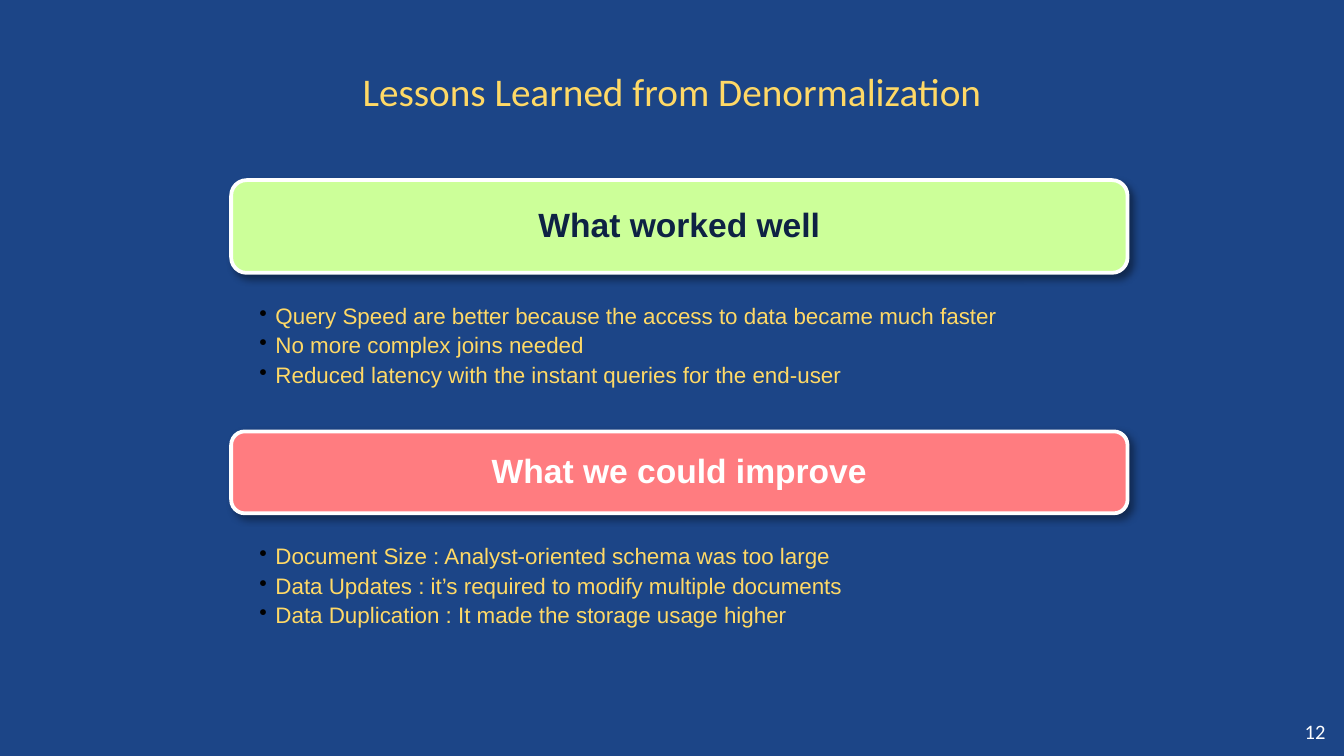
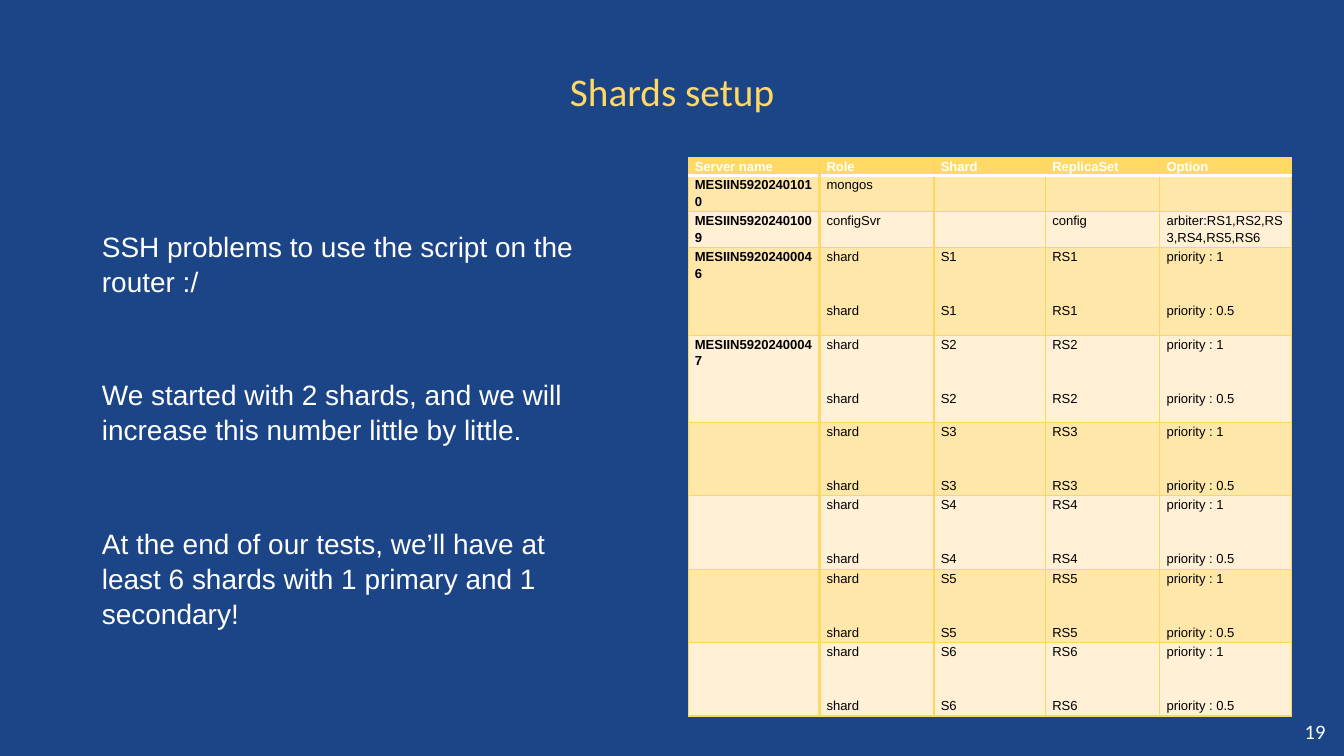
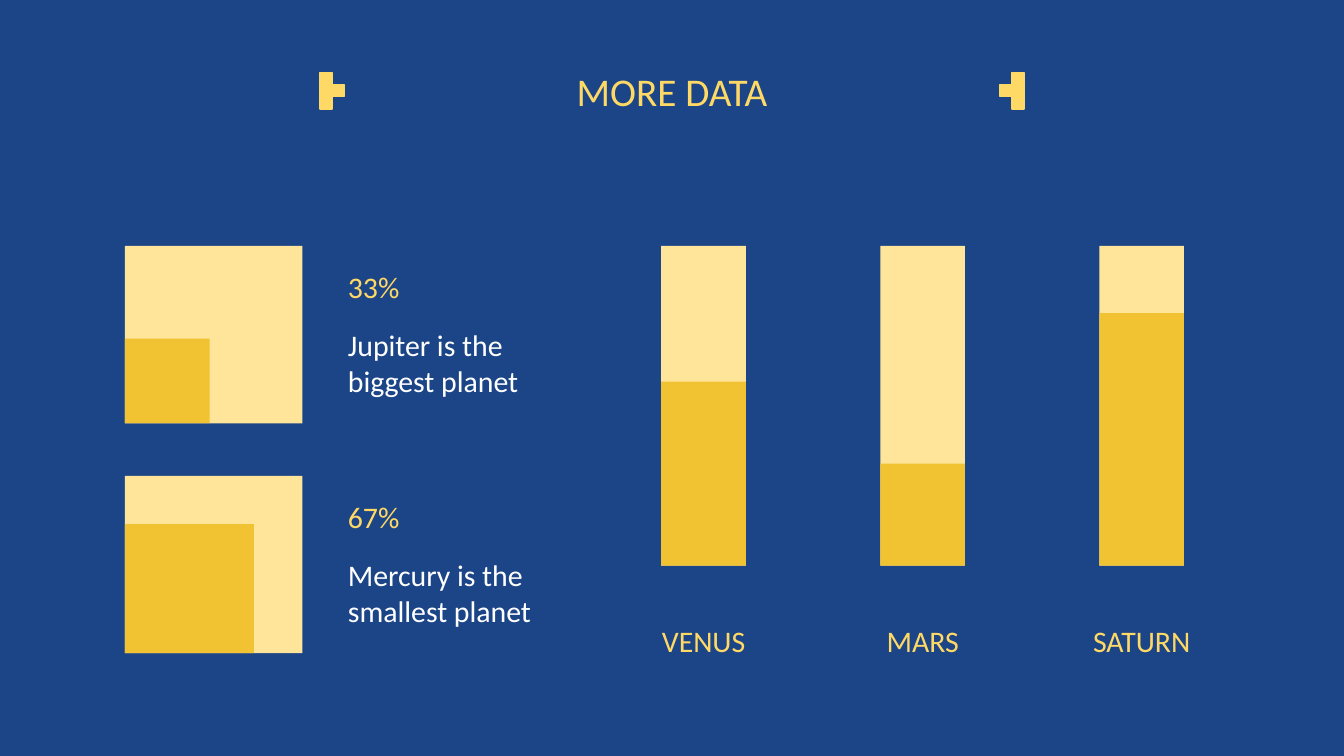
"""Build three slides on denormalization lessons, shard setup and planet data."""
import dataclasses
import typing

import lxml.etree
import pptx
import pptx.dml.color
import pptx.enum.shapes
import pptx.enum.text
import pptx.oxml.ns
import pptx.slide
import pptx.table
import pptx.text.text
import pptx.util

Inches = pptx.util.Inches
Pt = pptx.util.Pt
RGBColor = pptx.dml.color.RGBColor
Align = pptx.enum.text.PP_ALIGN
Anchor = pptx.enum.text.MSO_ANCHOR
Shape = pptx.enum.shapes.MSO_SHAPE
qn = pptx.oxml.ns.qn

BLUE = RGBColor(0x1C, 0x45, 0x87)
YELLOW = RGBColor(0xFF, 0xD9, 0x66)
WHITE = RGBColor(0xFF, 0xFF, 0xFF)
BLACK = RGBColor(0x00, 0x00, 0x00)
NAVY = RGBColor(0x0E, 0x22, 0x44)
GREEN = RGBColor(0xCC, 0xFF, 0x99)
CORAL = RGBColor(0xFF, 0x7C, 0x80)
GRID_YELLOW = RGBColor(0xFD, 0xD6, 0x60)
BAND_DARK = RGBColor(0xFF, 0xE7, 0xA9)
BAND_LIGHT = RGBColor(0xFF, 0xF0, 0xD6)
PALE_YELLOW = RGBColor(0xFF, 0xE5, 0x99)
GOLD = RGBColor(0xF1, 0xC2, 0x32)

HEADING = "Calibri"
BODY = "Arial"
EVEN_INSETS = (0.1, 0.1, 0.1, 0.1)


@dataclasses.dataclass(frozen=True)
class Style:
    """Look of the text in one box."""

    size: float
    font: str = HEADING
    color: RGBColor = WHITE
    bold: bool = False
    align: Align = Align.LEFT
    anchor: Anchor = Anchor.TOP
    insets: tuple[float, float, float, float] = EVEN_INSETS
    line_spacing: float = 1.0
    before: float = 0
    after: float = 0
    bullet: bool = False


@dataclasses.dataclass(frozen=True)
class Area:
    """Place of a shape in inches."""

    left: float
    top: float
    width: float
    height: float

    def lengths(self) -> list[pptx.util.Length]:
        """Return the four lengths that a shape call needs."""
        return [Inches(value) for value in dataclasses.astuple(self)]


@dataclasses.dataclass(frozen=True)
class Lesson:
    """A coloured heading band with its points below."""

    heading: str
    band: Area
    fill: RGBColor
    color: RGBColor
    points: tuple[str, ...]


@dataclasses.dataclass(frozen=True)
class Gauge:
    """A pale rectangle partly filled from its lower left corner."""

    area: Area
    filled_width: float
    filled_height: float


@dataclasses.dataclass(frozen=True)
class Fact:
    """A share of a square with its explanation."""

    share: str
    sentence: str
    top: float
    filled: float


TITLE = Style(21, color=YELLOW, align=Align.CENTER, anchor=Anchor.BOTTOM)
PAGE_NUMBER = Style(11, align=Align.CENTER, anchor=Anchor.MIDDLE)
POINTS = Style(12, BODY, YELLOW, insets=(0.21, 0.23, 0.09, 0.02),
               line_spacing=0.9, after=2.8, bullet=True)
NOTES = Style(15, BODY, insets=(0.1, 0.05, 0.1, 0.05), line_spacing=1.04, before=42)
CELL = Style(7, BODY, BLACK, align=Align.JUSTIFY, insets=(0.05, 0, 0.05, 0),
             line_spacing=1.15, before=10, after=10)
LABEL = Style(16, color=YELLOW)
SENTENCE = Style(16)

LESSONS = (
    Lesson("What worked well", Area(1.72, 1.34, 6.67, 0.69), GREEN, NAVY, (
        "Query Speed are better because the access to data became much faster",
        "No more complex joins needed",
        "Reduced latency with the instant queries for the end-user",
    )),
    Lesson("What we could improve", Area(1.72, 3.21, 6.67, 0.61), CORAL, WHITE, (
        "Document Size : Analyst-oriented schema was too large",
        "Data Updates : it’s required to modify multiple documents",
        "Data Duplication : It made the storage usage higher",
    )),
)
SETUP_NOTES = (
    "SSH problems to use the script on the router :/",
    "We started with 2 shards, and we will increase this number little by little.",
    "At the end of our tests, we’ll have at least 6 shards with 1 primary and 1 secondary!",
)
SHARD_SERVERS = ("MESIIN59202400046", "MESIIN59202400047", "", "", "", "")
SERVER_ROWS = [
    ("Server name", "Role", "Shard", "ReplicaSet", "Option"),
    ("MESIIN59202401010", "mongos", "", "", ""),
    ("MESIIN59202401009", "configSvr", "", "config", "arbiter:RS1,RS2,RS3,RS4,RS5,RS6"),
] + [
    (server, "shard\nshard", f"S{number}\nS{number}", f"RS{number}\nRS{number}",
     "priority : 1\npriority : 0.5")
    for number, server in enumerate(SHARD_SERVERS, 1)
]
COLUMN_WIDTHS = (0.98, 0.85, 0.83, 0.85, 0.98)
ROW_HEIGHTS = (0.13, 0.27, 0.27, 0.65, 0.65, 0.53, 0.53, 0.53, 0.53)
FACTS = (
    Fact("33%", "Jupiter is the biggest planet", 1.83, 0.63),
    Fact("67%", "Mercury is the smallest planet", 3.54, 0.96),
)
PLANET_LEVELS = {"VENUS": 1.37, "MARS": 0.76, "SATURN": 1.88}


def apply(target: typing.Any, values: dict[str, typing.Any]) -> None:
    """Set every named attribute of the target."""
    for name, value in values.items():
        setattr(target, name, value)


def add_xml(parent: typing.Any, tag: str, **attributes: str) -> typing.Any:
    """Append an XML element with its attributes."""
    return lxml.etree.SubElement(parent, qn(tag), attributes)


def add_bullet(para: typing.Any) -> None:
    """Give a paragraph a hanging black bullet."""
    properties = para._p.get_or_add_pPr()
    indent = Inches(0.12)
    properties.set("marL", str(indent))
    properties.set("indent", str(-indent))
    color = add_xml(properties, "a:buClr")
    add_xml(color, "a:srgbClr", val=str(BLACK))
    add_xml(properties, "a:buChar", char="•")


def write(frame: pptx.text.text.TextFrame, lines: typing.Sequence[str], style: Style) -> None:
    """Fill a text frame with one styled paragraph a line."""
    for index, line in enumerate(lines):
        para = frame.paragraphs[0] if index == 0 else frame.add_paragraph()
        if style.bullet:
            add_bullet(para)
        apply(para, {
            "alignment": style.align,
            "line_spacing": style.line_spacing,
            "space_before": Pt(style.before if index else 0),
            "space_after": Pt(style.after),
        })
        if not line:
            para._p.get_or_add_endParaRPr().set("sz", str(Pt(style.size).centipoints))
            continue
        span = para.add_run()
        span.text = line
        apply(span.font, {"size": Pt(style.size), "name": style.font, "bold": style.bold})
        span.font.color.rgb = style.color


def margins(style: Style) -> dict[str, pptx.util.Length]:
    """Return the inner margins of a style by attribute name."""
    names = ("margin_left", "margin_top", "margin_right", "margin_bottom")
    return {name: Inches(inset) for name, inset in zip(names, style.insets)}


def fill_frame(frame: pptx.text.text.TextFrame, lines: typing.Sequence[str],
               style: Style) -> None:
    """Set up the frame of a shape and write into it."""
    apply(frame, {"word_wrap": True, "vertical_anchor": style.anchor, **margins(style)})
    write(frame, lines, style)


def add_text(page: pptx.slide.Slide, area: Area, lines: typing.Sequence[str],
             style: Style) -> None:
    """Add a text box."""
    fill_frame(page.shapes.add_textbox(*area.lengths()).text_frame, lines, style)


def add_block(page: pptx.slide.Slide, area: Area, fill: RGBColor,
              line: RGBColor | None = None, line_width: float = 0.75,
              kind: Shape = Shape.RECTANGLE) -> typing.Any:
    """Add a filled shape, outlined only when a line colour is given."""
    box = page.shapes.add_shape(kind, *area.lengths())
    box.shadow.inherit = False
    box.fill.solid()
    box.fill.fore_color.rgb = fill
    if line is None:
        box.line.fill.background()
    else:
        box.line.color.rgb = line
        box.line.width = Pt(line_width)
    return box


def add_page(deck: typing.Any, title: str, number: str = "") -> pptx.slide.Slide:
    """Add a blue slide with its title and, if given, its number."""
    page = deck.slides.add_slide(deck.slide_layouts[6])
    page.background.fill.solid()
    page.background.fill.fore_color.rgb = BLUE
    add_text(page, Area(0.34, 0.32, 9.32, 0.63), [title], TITLE)
    if number:
        add_text(page, Area(9.57, 5.26, 0.43, 0.37), [number], PAGE_NUMBER)
    return page


def add_lesson(page: pptx.slide.Slide, lesson: Lesson) -> None:
    """Draw a heading band with a soft shadow and its points."""
    band = lesson.band
    box = add_block(page, band, lesson.fill, WHITE, 2, Shape.ROUNDED_RECTANGLE)
    effects = box._element.spPr.find(qn("a:effectLst"))
    shadow = add_xml(effects, "a:outerShdw", blurRad=str(Pt(4)), dist=str(Pt(3)),
                     dir="2700000", algn="tl", rotWithShape="0")
    color = add_xml(shadow, "a:srgbClr", val=str(BLACK))
    add_xml(color, "a:alpha", val="40000")
    heading = Style(18, BODY, lesson.color, True, Align.CENTER, Anchor.MIDDLE,
                    line_spacing=0.9)
    fill_frame(box.text_frame, [lesson.heading], heading)
    below = Area(band.left, band.top + band.height + 0.01, band.width, 1.18)
    add_text(page, below, lesson.points, POINTS)


def set_borders(cell: pptx.table._Cell, row: int, column: int) -> None:
    """Draw the four borders of a table cell."""
    borders = dict.fromkeys(("a:lnL", "a:lnR", "a:lnT", "a:lnB"), (GRID_YELLOW, 0.75))
    if row == 0:
        borders["a:lnB"] = (WHITE, 2)
    elif column == 0:
        borders["a:lnR"] = (YELLOW, 2)
    if row == 1 and column:
        borders["a:lnT"] = (WHITE, 2)
    if row and column == 1:
        borders["a:lnL"] = (YELLOW, 2)
    properties = cell._tc.get_or_add_tcPr()
    for position, (tag, (color, width)) in enumerate(borders.items()):
        line = add_xml(properties, tag, w=str(Pt(width)))
        add_xml(add_xml(line, "a:solidFill"), "a:srgbClr", val=str(color))
        properties.insert(position, line)


def add_server_table(page: pptx.slide.Slide) -> None:
    """Draw the table of servers, shards and replica sets."""
    area = Area(5.12, 1.17, sum(COLUMN_WIDTHS), sum(ROW_HEIGHTS))
    table = page.shapes.add_table(
        len(SERVER_ROWS), len(COLUMN_WIDTHS), *area.lengths()).table
    for column, width in zip(table.columns, COLUMN_WIDTHS):
        column.width = Inches(width)
    for row, height in zip(table.rows, ROW_HEIGHTS):
        row.height = Inches(height)
    for row, texts in enumerate(SERVER_ROWS):
        fill = YELLOW if row == 0 else BAND_DARK if row % 2 else BAND_LIGHT
        for column, text in enumerate(texts):
            cell = table.cell(row, column)
            apply(cell, margins(CELL))
            cell.fill.solid()
            cell.fill.fore_color.rgb = fill
            set_borders(cell, row, column)
            style = dataclasses.replace(
                CELL, bold=row == 0 or column == 0, color=BLACK if row else WHITE)
            write(cell.text_frame, text.split("\n"), style)


def add_bracket(page: pptx.slide.Slide, left: float, tooth_left: float) -> None:
    """Draw three stacked squares with a tooth beside the middle one."""
    side = 0.09
    top = 0.54
    places = [(left, top + step * side) for step in range(3)]
    for place in [*places, (tooth_left, top + side)]:
        add_block(page, Area(*place, side, side), YELLOW, YELLOW)


def add_gauge(page: pptx.slide.Slide, gauge: Gauge) -> None:
    """Draw a pale rectangle and its filled part."""
    area = gauge.area
    add_block(page, area, PALE_YELLOW)
    top = area.top + area.height - gauge.filled_height
    add_block(page, Area(area.left, top, gauge.filled_width, gauge.filled_height), GOLD)


def build_lessons(deck: typing.Any) -> None:
    """Build the slide on denormalization."""
    page = add_page(deck, "Lessons Learned from Denormalization", "12")
    for lesson in LESSONS:
        add_lesson(page, lesson)


def build_shards(deck: typing.Any) -> None:
    """Build the slide on the shard setup."""
    page = add_page(deck, "Shards setup", "19")
    add_server_table(page)
    add_text(page, Area(0.66, 1.65, 3.98, 3.21), SETUP_NOTES, NOTES)


def build_planets(deck: typing.Any) -> None:
    """Build the slide of planet gauges."""
    page = add_page(deck, "MORE DATA")
    add_bracket(page, 2.38, 2.47)
    add_bracket(page, 7.53, 7.44)
    for fact in FACTS:
        add_gauge(page, Gauge(Area(0.93, fact.top, 1.32, 1.32), fact.filled, fact.filled))
        add_text(page, Area(2.49, fact.top + 0.07, 1.79, 0.43), [fact.share], LABEL)
        add_text(page, Area(2.49, fact.top + 0.5, 1.79, 0.76), [fact.sentence], SENTENCE)
    planet_label = dataclasses.replace(LABEL, align=Align.CENTER)
    for index, (planet, level) in enumerate(PLANET_LEVELS.items()):
        left = 4.92 + index * 1.63
        add_gauge(page, Gauge(Area(left, 1.83, 0.63, 2.38), 0.63, level))
        add_text(page, Area(left - 0.58, 4.53, 1.79, 0.43), [planet], planet_label)


def main() -> None:
    """Build and save the deck."""
    deck = pptx.Presentation()
    apply(deck, {"slide_width": Inches(10), "slide_height": Inches(10) * 9 // 16})
    for build in (build_lessons, build_shards, build_planets):
        build(deck)
    deck.save("out.pptx")


if __name__ == "__main__":
    main()
